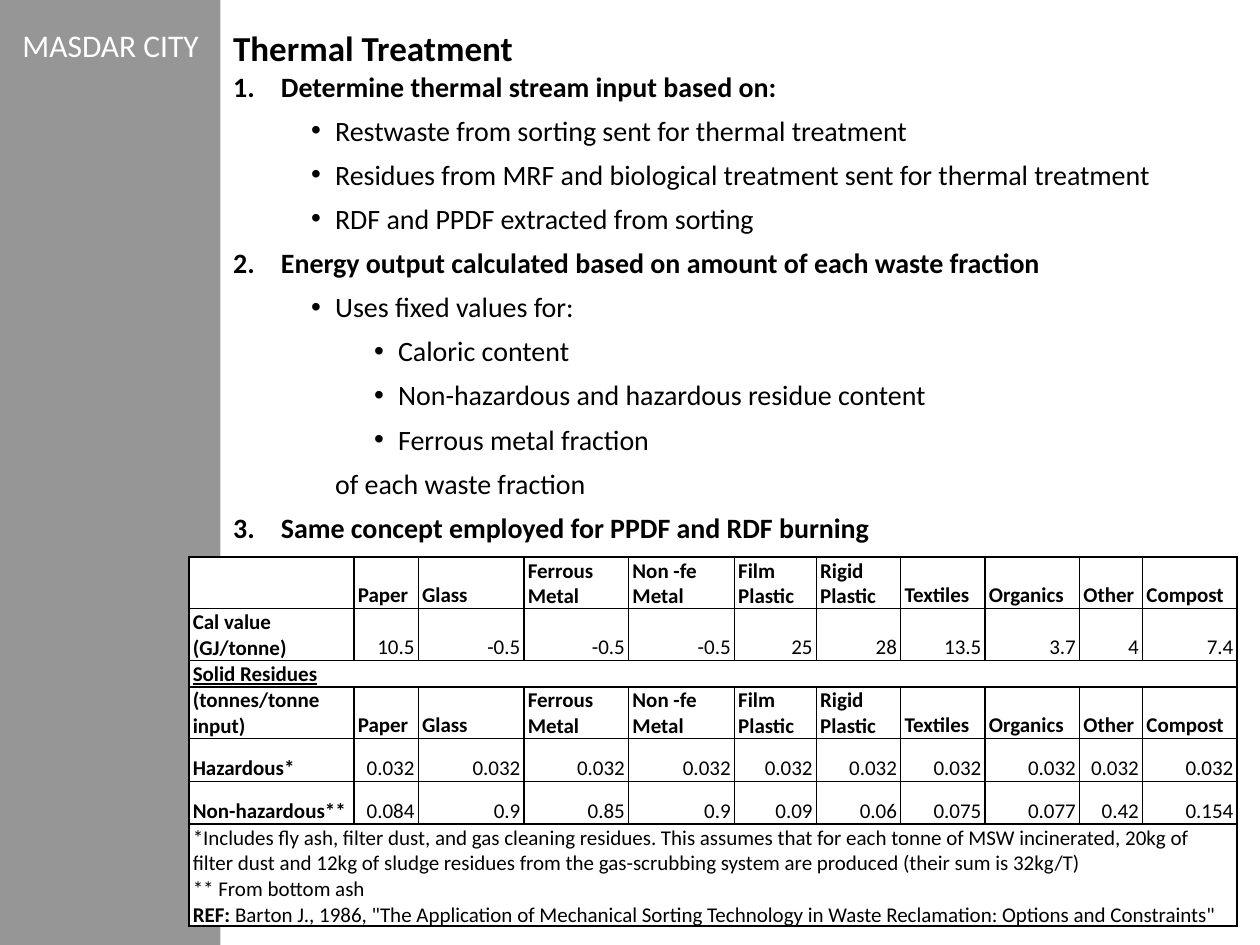
import pptx
import pptx.dml.color
import pptx.enum.shapes
import pptx.enum.text
import pptx.oxml
import pptx.oxml.ns
import pptx.util
from pptx.util import Inches

COLORS = {"sidebar": "969696", "white": "FFFFFF", "black": "000000"}
ALIGN = pptx.enum.text.PP_ALIGN
ANCHOR = pptx.enum.text.MSO_ANCHOR

# Content: (kind, text)
OUTLINE = [
    ("number", "Determine thermal stream input based on:"),
    ("bullet", "Restwaste from sorting sent for thermal treatment"),
    ("bullet", "Residues from MRF and biological treatment sent for thermal treatment"),
    ("bullet", "RDF and PPDF extracted from sorting"),
    ("number", "Energy output calculated based on amount of each waste fraction"),
    ("bullet", "Uses fixed values for:"),
    ("subbullet", "Caloric content"),
    ("subbullet", "Non-hazardous and hazardous residue content"),
    ("subbullet", "Ferrous metal fraction"),
    ("plain", "of each waste fraction"),
    ("number", "Same concept employed for PPDF and RDF burning"),
]
# Kind: (level, left margin, hanging indent)
INDENTS = {
    "number": (0, 0.38, -0.38),
    "bullet": (1, 0.81, -0.19),
    "subbullet": (2, 1.31, -0.19),
    "plain": (1, 0.81, 0),
}
FRACTIONS = ["Paper", "Glass", "Ferrous Metal", "Non -fe Metal", "Film Plastic",
             "Rigid Plastic", "Textiles", "Organics", "Other", "Compost"]
NOTES = [
    [("*Includes fly ash, filter dust, and gas cleaning residues. This assumes that for "
      "each tonne of MSW incinerated, 20kg of filter dust and 12kg of sludge residues from "
      "the gas-scrubbing system are produced (their sum is 32kg/T)", {})],
    [("** From bottom ash", {})],
    [("REF: ", {"bold": True}),
     ('Barton J., 1986, "The Application of Mechanical Sorting Technology in Waste '
      'Reclamation: Options and Constraints"', {})],
]
HEADING_ROW, NOTES_ROW = 2, 6
ROWS = [
    ["", *FRACTIONS],
    ["Cal value (GJ/tonne)", "10.5", "-0.5", "-0.5", "-0.5", "25", "28", "13.5", "3.7", "4", "7.4"],
    ["Solid Residues"],
    ["(tonnes/tonne input)", *FRACTIONS],
    ["Hazardous*"] + ["0.032"] * len(FRACTIONS),
    ["Non-hazardous**", "0.084", "0.9", "0.85", "0.9", "0.09", "0.06", "0.075", "0.077", "0.42", "0.154"],
]
COLUMN_WIDTHS = [1.31, 0.51, 0.84, 0.83, 0.84, 0.65, 0.67, 0.67, 0.75, 0.5, 0.75]
ROW_HEIGHTS = [0.41, 0.41, 0.2, 0.41, 0.34, 0.34, 0.8]


def rgb(name):
    return pptx.dml.color.RGBColor.from_string(COLORS[name])


def set_all(target, values):
    for name, value in values.items():
        setattr(target, name, value)


def add_run(paragraph, text, size, color="black", **styles):
    run = paragraph.add_run()
    run.text = text
    set_all(run.font, {"name": "Calibri", "size": pptx.util.Pt(size), "bold": False, **styles})
    run.font.color.rgb = rgb(color)


def add_element(parent, tag, **attributes):
    element = pptx.oxml.parse_xml(f"<a:{tag} {pptx.oxml.ns.nsdecls('a')}/>")
    for name, value in attributes.items():
        element.set(name, str(value))
    parent.append(element)
    return element


def fill_white(target):
    target.fill.solid()
    target.fill.fore_color.rgb = rgb("white")


def place(shape, left, top, width, height):
    set_all(shape, {"left": Inches(left), "top": Inches(top),
                    "width": Inches(width), "height": Inches(height)})


def format_cell(cell):
    properties = cell._tc.get_or_add_tcPr()
    for side in ("lnL", "lnR", "lnT", "lnB"):
        line = add_element(properties, side, w=pptx.util.Pt(1))
        add_element(add_element(line, "solidFill"), "srgbClr", val=COLORS["black"])
    fill_white(cell)
    set_all(cell, {"margin_left": Inches(0.03), "margin_right": Inches(0.03),
                   "margin_top": Inches(0.01), "margin_bottom": 0,
                   "vertical_anchor": ANCHOR.BOTTOM})


presentation = pptx.Presentation()
presentation.slide_width, presentation.slide_height = Inches(10), Inches(7.5)
slide = presentation.slides.add_slide(presentation.slide_layouts[1])

# Sidebar and its label
sidebar = slide.shapes.add_shape(pptx.enum.shapes.MSO_SHAPE.RECTANGLE,
                                 0, 0, Inches(1.75), Inches(7.5))
sidebar.shadow.inherit = False
sidebar.fill.solid()
sidebar.fill.fore_color.rgb = rgb("sidebar")
sidebar.line.fill.background()
label = slide.shapes.add_textbox(Inches(0.08), Inches(0.08), Inches(3.42), Inches(0.5))
set_all(label.text_frame, {"word_wrap": True, "margin_top": Inches(0.13)})
add_run(label.text_frame.paragraphs[0], "MASDAR CITY", 18, "white")

# Title
title = slide.shapes.title
place(title, 1.75, 0, 7.75, 0.75)
set_all(title.text_frame, {"vertical_anchor": ANCHOR.MIDDLE,
                           "auto_size": pptx.enum.text.MSO_AUTO_SIZE.NONE})
title.text_frame.paragraphs[0].alignment = ALIGN.LEFT
add_run(title.text_frame.paragraphs[0], "Thermal Treatment", 20, bold=True)

# Numbered outline
body = slide.placeholders[1]
place(body, 1.75, 0.5, 8.25, 4.26)
fill_white(body)
set_all(body.text_frame, {"vertical_anchor": ANCHOR.TOP,
                          "auto_size": pptx.enum.text.MSO_AUTO_SIZE.NONE})
number = 0
for index, (kind, text) in enumerate(OUTLINE):
    paragraph = body.text_frame.add_paragraph() if index else body.text_frame.paragraphs[0]
    level, margin, indent = INDENTS[kind]
    set_all(paragraph, {"level": level, "space_before": pptx.util.Pt(3 if index else 0),
                        "space_after": pptx.util.Pt(3)})
    properties = paragraph._p.get_or_add_pPr()
    properties.set("marL", str(Inches(margin)))
    properties.set("indent", str(Inches(indent)))
    if kind == "number":
        number += 1
        add_element(properties, "buFont", typeface="+mj-lt")
        add_element(properties, "buAutoNum", type="arabicPeriod", startAt=number)
    elif kind == "plain":
        add_element(properties, "buNone")
    else:
        add_element(properties, "buFont", typeface="Arial")
        add_element(properties, "buChar", char="•")
    add_run(paragraph, text, 16, bold=kind == "number")

# Waste fraction table
table = slide.shapes.add_table(len(ROW_HEIGHTS), len(COLUMN_WIDTHS), Inches(1.5), Inches(4.42),
                               Inches(sum(COLUMN_WIDTHS)), Inches(sum(ROW_HEIGHTS))).table
set_all(table, {"first_row": False, "horz_banding": False})
for column, width in zip(table.columns, COLUMN_WIDTHS):
    column.width = Inches(width)
for row, height in zip(table.rows, ROW_HEIGHTS):
    row.height = Inches(height)
    for cell in row.cells:
        format_cell(cell)
for row in (HEADING_ROW, NOTES_ROW):
    table.cell(row, 0).merge(table.cell(row, len(COLUMN_WIDTHS) - 1))
for row, texts in enumerate(ROWS):
    for column, text in enumerate(texts):
        is_value = column > 0 and texts[1:] != FRACTIONS
        paragraph = table.cell(row, column).text_frame.paragraphs[0]
        paragraph.alignment = ALIGN.RIGHT if is_value else ALIGN.LEFT
        if text:
            add_run(paragraph, text, 12, bold=not is_value, underline=row == HEADING_ROW)

# Table notes
notes_frame = table.cell(NOTES_ROW, 0).text_frame
for index, runs in enumerate(NOTES):
    paragraph = notes_frame.add_paragraph() if index else notes_frame.paragraphs[0]
    for text, styles in runs:
        add_run(paragraph, text, 12, **styles)

presentation.save("out.pptx")
